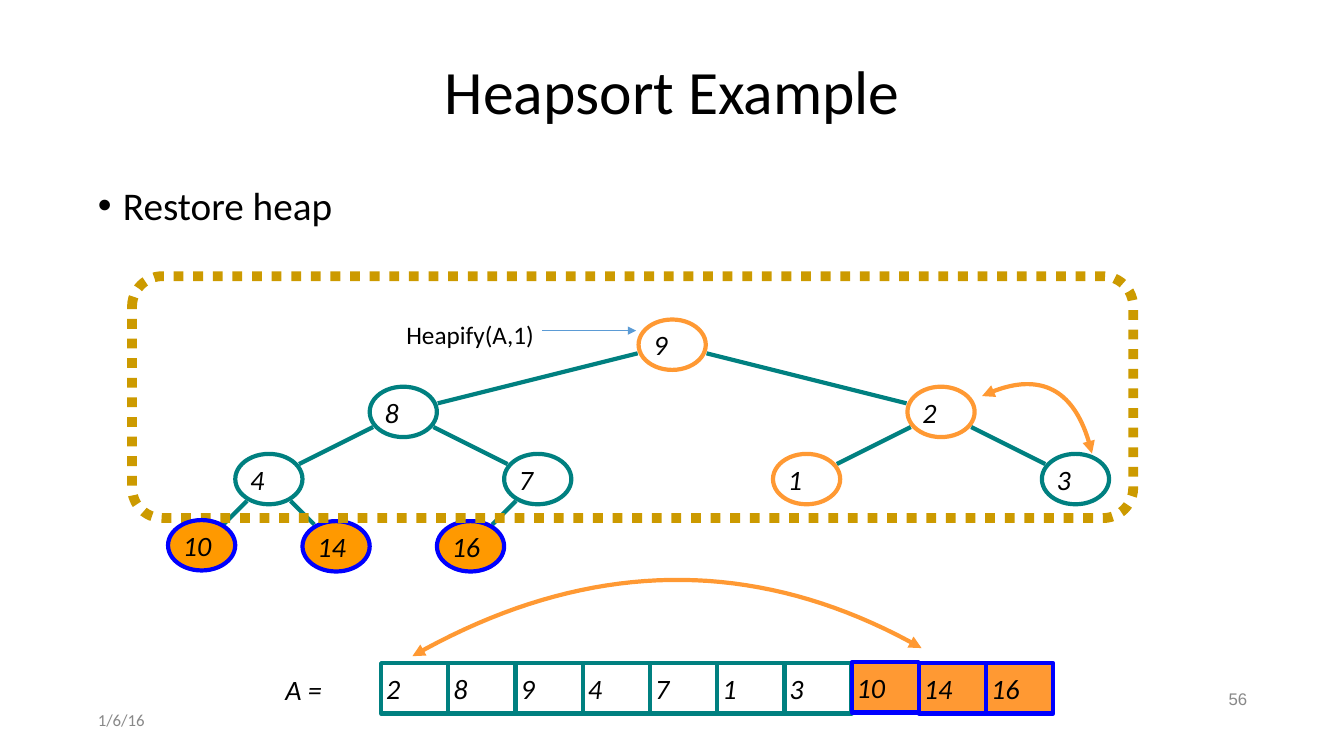
import lxml.etree
import math
import pptx
import pptx.dml.color
import pptx.enum.dml
import pptx.enum.shapes
import pptx.enum.text
import pptx.oxml.ns
import pptx.util

Inches, Pt = pptx.util.Inches, pptx.util.Pt
SHAPE = pptx.enum.shapes.MSO_SHAPE
ALIGN = pptx.enum.text.PP_ALIGN
ANCHOR = pptx.enum.text.MSO_ANCHOR
qn = pptx.oxml.ns.qn

TEAL, ORANGE, BLUE, BLACK, GREY = "008080", "FF9933", "0000FF", "000000", "888888"


def colour(hex_string):
    return pptx.dml.color.RGBColor.from_string(hex_string)


def set_text(shape, text, size, ink=BLACK, align=ALIGN.LEFT, anchor=ANCHOR.MIDDLE,
             font="Calibri", italic=False, wrap=True, inset=0.05):
    frame = shape.text_frame
    frame.word_wrap = wrap
    frame.vertical_anchor = anchor
    frame.margin_left = frame.margin_right = Inches(0.05)
    frame.margin_top = frame.margin_bottom = Inches(inset)
    paragraph = frame.paragraphs[0]
    paragraph.text = text
    paragraph.alignment = align
    paragraph.font.size = Pt(size)
    paragraph.font.name = font
    paragraph.font.italic = italic
    paragraph.font.color.rgb = colour(ink)
    return paragraph


presentation = pptx.Presentation()
presentation.slide_width = Inches(13.33)
presentation.slide_height = Inches(7.5)
slide = presentation.slides.add_slide(presentation.slide_layouts[6])
shapes = slide.shapes

# Date, slide number and title
date = shapes.add_textbox(Inches(0.92), Inches(7), Inches(3), Inches(0.29))
set_text(date, "1/6/16", 12, GREY)
number = shapes.add_textbox(Inches(9.42), Inches(6.8), Inches(3), Inches(0.29))
set_text(number, "56", 12, GREY, ALIGN.RIGHT, font="Arial").line_spacing = 0.9
title = shapes.add_textbox(Inches(0.92), Inches(0.4), Inches(11.5), Inches(1.07))
set_text(title, "Heapsort Example", 44, align=ALIGN.CENTER).line_spacing = 0.9

# Bullet
step = shapes.add_textbox(Inches(0.92), Inches(1.8), Inches(5.33), Inches(0.69))
step_properties = step.text_frame.paragraphs[0]._p.get_or_add_pPr()
step_properties.set("marL", str(Inches(0.25)))
step_properties.set("indent", str(-Inches(0.25)))
lxml.etree.SubElement(step_properties, qn("a:buFont")).set("typeface", "Arial")
lxml.etree.SubElement(step_properties, qn("a:buChar")).set("char", "•")
set_text(step, "Restore heap", 28, anchor=ANCHOR.TOP).line_spacing = 0.9

# Captions of the call and the array
call = shapes.add_textbox(Inches(3.98), Inches(3.12), Inches(1.38), Inches(0.41))
set_text(call, "Heapify(A,1)", 18, anchor=ANCHOR.TOP, wrap=False)
array_name = shapes.add_textbox(Inches(2.78), Inches(6.62), Inches(0.48), Inches(0.43))
set_text(array_name, "A =", 20, italic=True, wrap=False)

# Tree layout: heap order, columns and levels counted in grid units
unit = 2 / 3
node_width, node_height = unit, 0.5
heap = [9, 8, 2, 4, 7, 1, 3, 10, 14, 16]
columns = [10, 6, 14, 4, 8, 12, 16, 3, 5, 7]
extracted = {10, 14, 16}
swapped = {9, 2, 1}
centres = [(column * unit, 3.42 + int(math.log2(i + 1)) * unit)
           for i, column in enumerate(columns)]

# Tree edges run between the outlines of parent and child; the call arrow comes last
lines = []
for i in range(1, len(heap)):
    (x1, y1), (x2, y2) = centres[(i - 1) // 2], centres[i]
    dx, dy = x2 - x1, y2 - y1
    reach = 1.08 / math.hypot(dx / (node_width / 2), dy / (node_height / 2))
    lines.append((x1 + dx * reach, y1 + dy * reach,
                  x2 - dx * reach, y2 - dy * reach, TEAL, 3))
lines.append((5.38, 3.28, 6.31, 3.28, "5B9BD5", 1))
links = []
for x1, y1, x2, y2, line_colour, width in lines:
    link = shapes.add_connector(pptx.enum.shapes.MSO_CONNECTOR.STRAIGHT,
                                Inches(x1), Inches(y1), Inches(x2), Inches(y2))
    link.line.color.rgb = colour(line_colour)
    link.line.width = Pt(width)
    lxml.etree.SubElement(link._element.spPr, qn("a:effectLst"))
    links.append(link)

# Tree nodes and array cells
cells = []
for value, (x, y) in zip(heap, centres):
    fill, outline = "FFFFFF", ORANGE if value in swapped else TEAL
    if value in extracted:
        fill, outline = "FF9900", BLUE
    cells.append((SHAPE.OVAL, x - node_width / 2, y - node_height / 2, value, fill, outline))
for i, value in enumerate([2, 8, 9, 4, 7, 1, 3, 10, 14, 16]):
    fill, outline = (ORANGE, BLUE) if value in extracted else ("FFFFFF", TEAL)
    cells.append((SHAPE.RECTANGLE, 3.78 + i * unit, 6.58, value, fill, outline))
drawn_cells = []
for kind, left, top, value, fill, outline in cells:
    lift = 0.01 if value == 10 else 0
    cell = shapes.add_shape(kind, Inches(left), Inches(top - lift),
                            Inches(node_width), Inches(node_height))
    cell.shadow.inherit = False
    cell.fill.solid()
    cell.fill.fore_color.rgb = colour(fill)
    cell.line.color.rgb = colour(outline)
    cell.line.width = Pt(3)
    set_text(cell, str(value), 20, italic=True, inset=0)
    drawn_cells.append(cell)

# Dotted frame around the heap, with node 10 in front of it
frame = shapes.add_shape(SHAPE.ROUNDED_RECTANGLE,
                         Inches(1.31), Inches(2.74), Inches(9.93), Inches(2.4))
frame.adjustments[0] = 0.125
frame.shadow.inherit = False
frame.fill.background()
frame.line.color.rgb = colour("CC9A00")
frame.line.width = Pt(7)
frame.line.dash_style = pptx.enum.dml.MSO_LINE.ROUND_DOT
shapes._spTree.append(drawn_cells[heap.index(10)]._element)

# Curved swap arrows, each a cubic curve given by four points
arrows = [(links[-1], ["a:tailEnd"])]
steps = 40
for curve in ([(9.14, 6.43), (7.5, 5.5), (5.81, 5.53), (4.09, 6.51)],
              [(10.83, 4.5), (10.68, 3.85), (10.31, 3.66), (9.74, 3.93)]):
    points = []
    for k in range(steps + 1):
        t = k / steps
        weights = [math.comb(3, j) * t ** j * (1 - t) ** (3 - j) for j in range(4)]
        points.append(tuple(Inches(sum(w * p[axis] for w, p in zip(weights, curve)))
                            for axis in (0, 1)))
    builder = shapes.build_freeform(*points[0])
    builder.add_line_segments(points[1:], close=False)
    swap = builder.convert_to_shape()
    swap.shadow.inherit = False
    swap.fill.background()
    swap.line.color.rgb = colour(ORANGE)
    swap.line.width = Pt(3)
    arrows.append((swap, ["a:headEnd", "a:tailEnd"]))

# Arrowheads
for arrow, ends in arrows:
    for end in ends:
        lxml.etree.SubElement(arrow.line._get_or_add_ln(), qn(end)).set("type", "triangle")

presentation.save("out.pptx")
